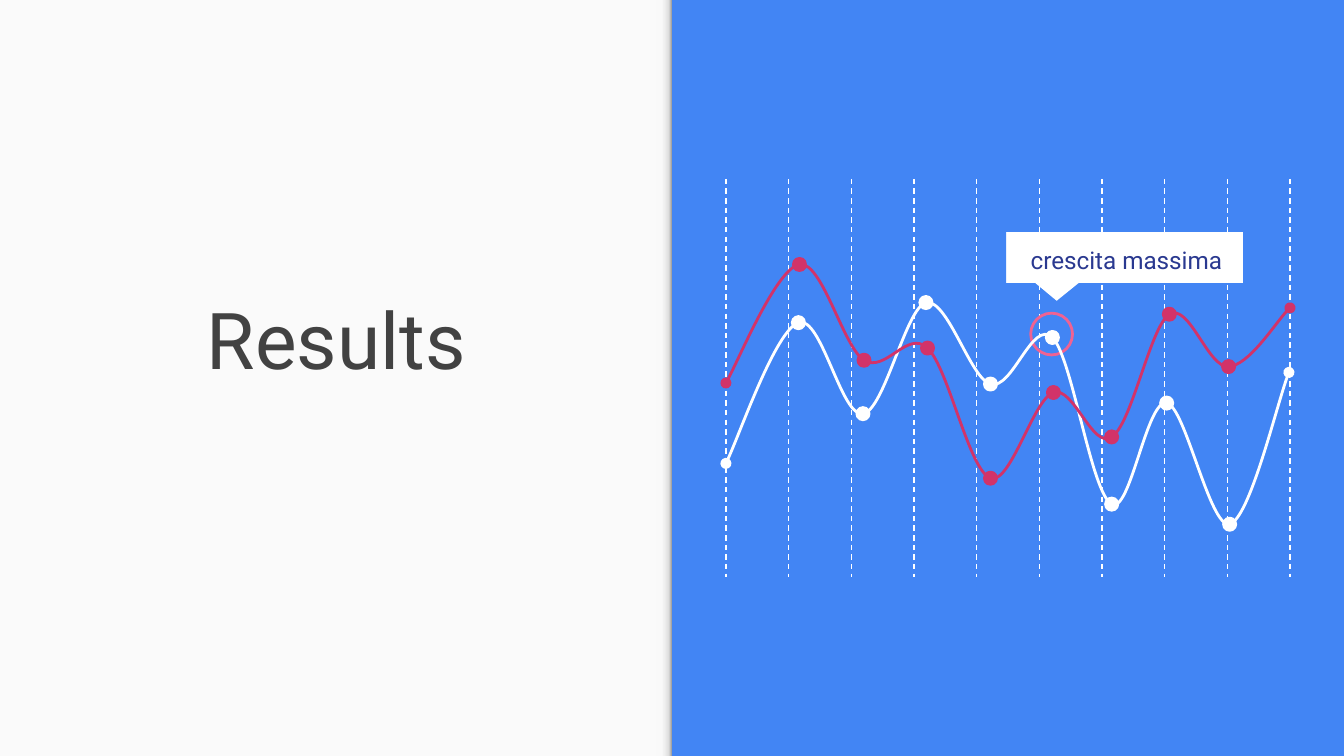
from copy import deepcopy
from dataclasses import dataclass

from lxml.etree import SubElement
from pptx import Presentation
from pptx.dml.color import RGBColor
from pptx.enum.dml import MSO_LINE
from pptx.enum.shapes import MSO_CONNECTOR, MSO_SHAPE
from pptx.enum.text import MSO_ANCHOR, PP_ALIGN
from pptx.oxml.ns import qn
from pptx.util import Cm, Pt


@dataclass(frozen=True)
class Theme:
    font: str = "Roboto"
    blue: str = "4285F4"
    panel: str = "FAFAFA"
    white: str = "FFFFFF"
    red: str = "D23369"
    pink: str = "F06292"
    title: str = "424242"
    label: str = "2A3990"
    title_size: float = 42
    label_size: float = 13
    curve_width: float = 1.5
    grid_width: float = 0.75


THEME = Theme()
WIDTH, HEIGHT = 25.4, 14.29
GRID_LEFT, GRID_RIGHT = 13.72, 24.38
GRID_TOP, GRID_BOTTOM = 3.38, 10.9
GRID_LINES = 10
MARKER_SIZE = 0.23
EDGE_STOPS = [(0, "F9F9F9"), (36, "F9F9F9"), (80, "DEDEDE"), (100, "999999")]

# Start point, then two control points and a knot for each segment, in cm.
WHITE_CURVE = [
    (13.72, 8.76),
    (13.94, 8.33), (14.66, 6.25), (15.09, 6.1),
    (15.52, 5.94), (15.9, 7.9), (16.31, 7.82),
    (16.71, 7.77), (17.12, 5.82), (17.5, 5.72),
    (17.91, 5.64), (18.34, 7.16), (18.72, 7.26),
    (19.13, 7.39), (19.51, 6.02), (19.89, 6.38),
    (20.27, 6.76), (20.62, 9.32), (21.01, 9.53),
    (21.36, 9.73), (21.67, 7.54), (22.05, 7.62),
    (22.4, 7.67), (22.86, 9.98), (23.24, 9.91),
    (23.62, 9.8), (24.16, 7.52), (24.36, 7.04),
]
RED_CURVE = [
    (13.72, 7.24),
    (13.94, 6.86), (14.68, 5.08), (15.11, 5),
    (15.54, 4.93), (15.93, 6.55), (16.33, 6.81),
    (16.74, 7.06), (17.15, 6.22), (17.53, 6.58),
    (17.93, 6.96), (18.31, 8.89), (18.72, 9.04),
    (19.1, 9.17), (19.53, 7.54), (19.91, 7.42),
    (20.29, 7.29), (20.65, 8.51), (21.01, 8.26),
    (21.39, 8.03), (21.74, 6.17), (22.1, 5.94),
    (22.48, 5.72), (22.83, 6.96), (23.22, 6.93),
    (23.6, 6.91), (24.18, 5.99), (24.38, 5.82),
]


def apply_format(target, values):
    for name, value in values.items():
        setattr(target, name, value)


def style_shape(shape, fill=None, line=None):
    shape.shadow.inherit = False
    if fill:
        shape.fill.solid()
        shape.fill.fore_color.rgb = RGBColor.from_string(fill)
    else:
        shape.fill.background()
    if line:
        shape.line.color.rgb = RGBColor.from_string(line)
        shape.line.width = Pt(THEME.curve_width)
    else:
        shape.line.fill.background()


def add_preset(shapes, kind, box, fill=None, line=None):
    shape = shapes.add_shape(kind, *map(Cm, box))
    style_shape(shape, fill, line)
    return shape


def write_text(shape, text, frame_format, paragraph_format, size, color):
    frame = shape.text_frame
    margins = {f"margin_{side}": Cm(0.25) for side in ("left", "top", "right", "bottom")}
    apply_format(frame, {"word_wrap": True, **margins, **frame_format})
    frame.text = text
    paragraph = frame.paragraphs[0]
    apply_format(paragraph, paragraph_format)
    font = paragraph.runs[0].font
    apply_format(font, {"name": THEME.font, "size": Pt(size)})
    font.color.rgb = RGBColor.from_string(color)


def add_panel_edge(shapes):
    """Add the soft shadow along the right edge of the title panel."""
    thickness, center = 0.3, 12.55
    box = (center - HEIGHT / 2, (HEIGHT - thickness) / 2, HEIGHT, thickness)
    edge = add_preset(shapes, MSO_SHAPE.RECTANGLE, box)
    edge.rotation = 90
    edge.fill.gradient()
    edge.fill.gradient_angle = 90
    stop_list = edge.element.spPr.find(".//" + qn("a:gsLst"))
    for _ in range(len(EDGE_STOPS) - len(stop_list)):
        stop_list.append(deepcopy(stop_list[0]))
    for stop, (position, color) in zip(edge.fill.gradient_stops, EDGE_STOPS):
        stop.position = position / 100
        stop.color.rgb = RGBColor.from_string(color)


def add_title(slide):
    title = slide.shapes.title
    box = {"left": Cm(0.74), "top": Cm(3.43), "width": Cm(11.23), "height": Cm(4.11)}
    apply_format(title, box)
    write_text(title, "Results", {"vertical_anchor": MSO_ANCHOR.BOTTOM},
               {"alignment": PP_ALIGN.CENTER}, THEME.title_size, THEME.title)
    # Bring the title in front of the panel.
    title.element.getparent().append(title.element)


def add_grid(shapes):
    gap = (GRID_RIGHT - GRID_LEFT) / (GRID_LINES - 1)
    for index in range(GRID_LINES):
        x = Cm(GRID_LEFT + index * gap)
        connector = shapes.add_connector(
            MSO_CONNECTOR.STRAIGHT, x, Cm(GRID_TOP), x, Cm(GRID_BOTTOM))
        connector.line.color.rgb = RGBColor.from_string(THEME.white)
        apply_format(connector.line, {"width": Pt(THEME.grid_width),
                                      "dash_style": MSO_LINE.DASH})
        SubElement(connector.element.spPr, qn("a:effectLst"))


def add_curve(shapes, points, color):
    """Add a smooth curve with oval ends and a marker on each inner knot."""
    start, *others = [(Cm(x), Cm(y)) for x, y in points]
    builder = shapes.build_freeform(*start)
    builder.add_line_segments(others, close=False)
    curve = builder.convert_to_shape()
    style_shape(curve, line=color)

    # Each three straight segments become one cubic segment.
    outline = curve.element.spPr.find(".//" + qn("a:path"))
    segments = outline.findall(qn("a:lnTo"))
    for index in range(0, len(segments), 3):
        cubic = SubElement(outline, qn("a:cubicBezTo"))
        for segment in segments[index:index + 3]:
            cubic.append(segment[0])
            outline.remove(segment)
    line = curve.element.spPr.find(qn("a:ln"))
    for end in ("a:headEnd", "a:tailEnd"):
        SubElement(line, qn(end), type="oval")

    for x, y in points[3:-1:3]:
        box = (x - MARKER_SIZE / 2, y - MARKER_SIZE / 2, MARKER_SIZE, MARKER_SIZE)
        add_preset(shapes, MSO_SHAPE.OVAL, box, color, color)


def add_callout(shapes):
    """Add the label box; its second, narrower part carries the pointer."""
    for width, pointer in ((4.47, (-0.2, 0.5, 0)), (3.28, (-0.21, 0.85, 0))):
        callout = add_preset(shapes, MSO_SHAPE.ROUNDED_RECTANGULAR_CALLOUT,
                             (19.02, 4.39, width, 0.96), THEME.white)
        for index, value in enumerate(pointer):
            callout.adjustments[index] = value
    label = shapes.add_textbox(Cm(19.23), Cm(4.47), Cm(4.47), Cm(0.79))
    write_text(label, "crescita massima", {"vertical_anchor": MSO_ANCHOR.MIDDLE},
               {"line_spacing": 1.15}, THEME.label_size, THEME.label)


def main():
    presentation = Presentation()
    apply_format(presentation, {"slide_width": Cm(WIDTH), "slide_height": Cm(HEIGHT)})
    slide = presentation.slides.add_slide(presentation.slide_layouts[5])
    slide.background.fill.solid()
    slide.background.fill.fore_color.rgb = RGBColor.from_string(THEME.blue)
    shapes = slide.shapes

    add_preset(shapes, MSO_SHAPE.RECTANGLE, (0, 0, WIDTH / 2, HEIGHT), THEME.panel)
    add_panel_edge(shapes)
    add_title(slide)
    add_grid(shapes.add_group_shape().shapes)
    add_preset(shapes, MSO_SHAPE.OVAL, (19.48, 5.92, 0.79, 0.79), line=THEME.pink)
    for points, color in ((WHITE_CURVE, THEME.white), (RED_CURVE, THEME.red)):
        add_curve(shapes.add_group_shape().shapes, points, color)
    add_callout(shapes)
    presentation.save("out.pptx")


if __name__ == "__main__":
    main()
